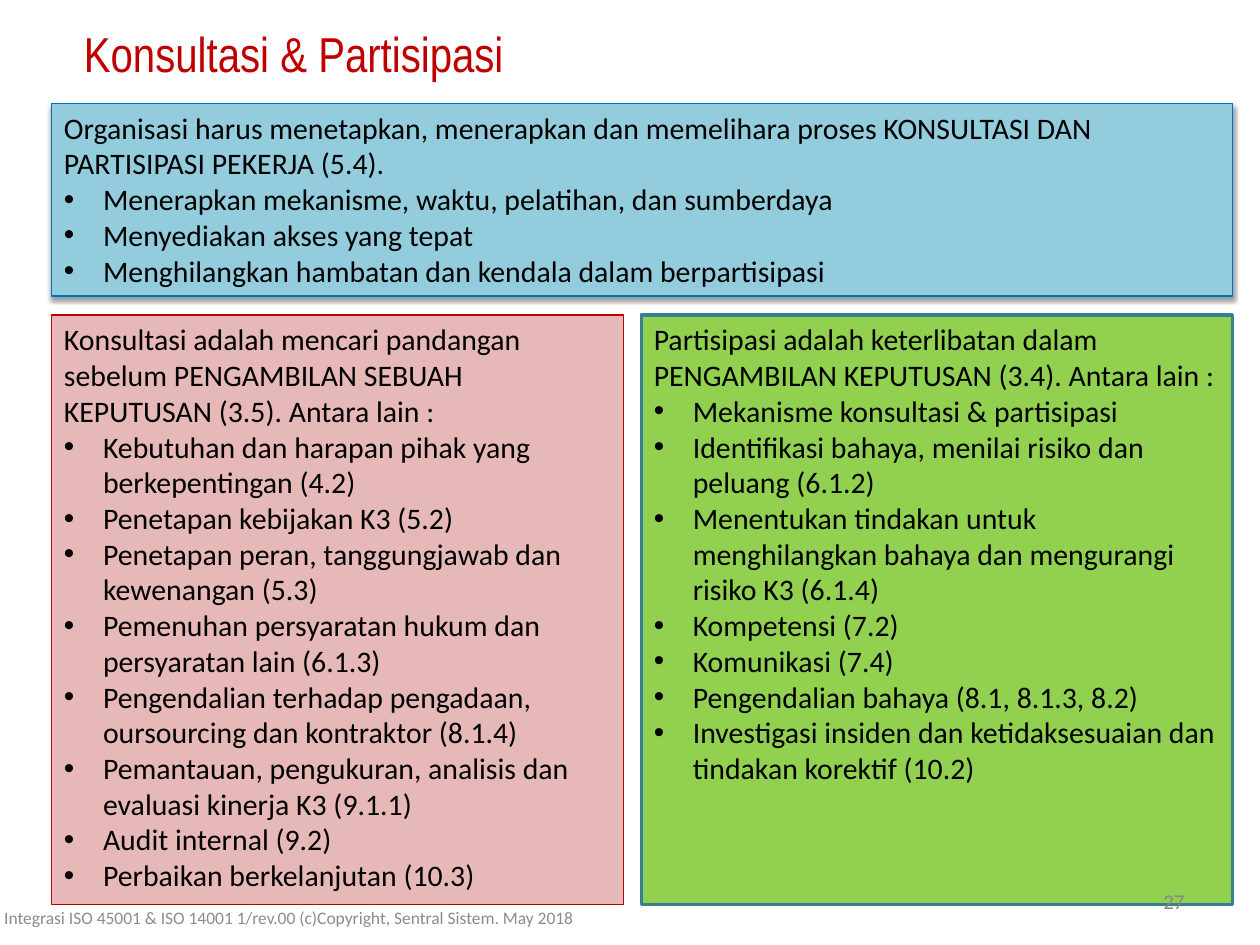
from lxml import etree
from pptx import Presentation
from pptx.dml.color import RGBColor
from pptx.enum import shapes, text
from pptx.oxml.ns import qn
from pptx.util import Inches, Pt

COLORS = {
    "red": "C00000", "black": "000000", "number": "898989", "footer": "8C8C8C",
    "pink": "E6B9B8", "green": "92D050", "teal": "377F92",
    "sky": "93CDDD", "blue": "0070C0",
}

# Grid of the three panels, in inches
LEFT, RIGHT, GAP = 0.41, 9.78, 0.14
LEFT_WIDTH = 4.54
RIGHT_START = LEFT + LEFT_WIDTH + GAP
TOP_ROW = (0.82, 1.53)
BOTTOM_ROW = (2.5, 4.68)
INDENT = Inches(0.31)

PROCESS = (
    "Organisasi harus menetapkan, menerapkan dan memelihara proses "
    "KONSULTASI DAN PARTISIPASI PEKERJA (5.4).",
    "Menerapkan mekanisme, waktu, pelatihan, dan sumberdaya",
    "Menyediakan akses yang tepat",
    "Menghilangkan hambatan dan kendala dalam berpartisipasi",
)
CONSULTATION = (
    "Konsultasi adalah mencari pandangan sebelum PENGAMBILAN SEBUAH "
    "KEPUTUSAN (3.5). Antara lain :",
    "Kebutuhan dan harapan pihak yang berkepentingan (4.2)",
    "Penetapan kebijakan K3 (5.2)",
    "Penetapan peran, tanggungjawab dan kewenangan (5.3)",
    "Pemenuhan persyaratan hukum dan persyaratan lain (6.1.3)",
    "Pengendalian terhadap pengadaan, oursourcing dan kontraktor (8.1.4)",
    "Pemantauan, pengukuran, analisis dan evaluasi kinerja K3 (9.1.1)",
    "Audit internal (9.2)",
    "Perbaikan berkelanjutan (10.3)",
)
PARTICIPATION = (
    "Partisipasi adalah keterlibatan dalam PENGAMBILAN KEPUTUSAN (3.4). "
    "Antara lain :",
    "Mekanisme konsultasi & partisipasi",
    "Identifikasi bahaya, menilai risiko dan peluang (6.1.2)",
    "Menentukan tindakan untuk menghilangkan bahaya dan mengurangi "
    "risiko K3 (6.1.4)",
    "Kompetensi (7.2)",
    "Komunikasi (7.4)",
    "Pengendalian bahaya (8.1, 8.1.3, 8.2)",
    "Investigasi insiden dan ketidaksesuaian dan tindakan korektif (10.2)",
)


def color(name):
    return RGBColor.from_string(COLORS[name])


def style(paragraph, size, color_name, align, font="Calibri"):
    paragraph.alignment = align
    paragraph.font.size = Pt(size)
    paragraph.font.name = font
    paragraph.font.color.rgb = color(color_name)


def add_bullet(paragraph):
    properties = paragraph._p.get_or_add_pPr()
    properties.set("marL", str(INDENT))
    properties.set("indent", str(-INDENT))
    etree.SubElement(properties, qn("a:buFont"), typeface="Arial")
    etree.SubElement(properties, qn("a:buChar"), char="•")


def add_shadow(shape):
    effects = shape._element.spPr.find(qn("a:effectLst"))
    shadow = etree.SubElement(
        effects, qn("a:outerShdw"), blurRad=str(Pt(3.1)), dist=str(Pt(1.6)),
        dir="5400000", rotWithShape="0")
    shade = etree.SubElement(shadow, qn("a:srgbClr"), val=COLORS["black"])
    etree.SubElement(shade, qn("a:alpha"), val="38000")


def add_panel(slide, left, right, row, fill, line, line_width, lines):
    """Filled box: an opening statement followed by bullets."""
    top, height = row
    shape = slide.shapes.add_shape(
        shapes.MSO_SHAPE.RECTANGLE, Inches(left), Inches(top),
        Inches(right - left), Inches(height))
    shape.shadow.inherit = False
    shape.fill.solid()
    shape.fill.fore_color.rgb = color(fill)
    shape.line.color.rgb = color(line)
    shape.line.width = Pt(line_width)
    frame = shape.text_frame
    frame.word_wrap = True
    frame.vertical_anchor = text.MSO_ANCHOR.TOP
    for index, line_text in enumerate(lines):
        paragraph = frame.add_paragraph() if index else frame.paragraphs[0]
        paragraph.text = line_text
        if index:
            add_bullet(paragraph)
        style(paragraph, 17, "black", text.PP_ALIGN.LEFT)
    return shape


def add_label(slide, left, top, width, content, size, color_name, align):
    box = slide.shapes.add_textbox(
        Inches(left), Inches(top), Inches(width), Inches(0.4))
    frame = box.text_frame
    frame.word_wrap = True
    frame.vertical_anchor = text.MSO_ANCHOR.MIDDLE
    frame.text = content
    style(frame.paragraphs[0], size, color_name, align)


def set_title(slide, content):
    title = slide.shapes.title
    title.left, title.top = Inches(0.31), Inches(0.14)
    title.width, title.height = Inches(4.04), Inches(0.57)
    frame = title.text_frame
    frame.text = content
    frame.word_wrap = False
    frame.auto_size = text.MSO_AUTO_SIZE.NONE
    frame.vertical_anchor = text.MSO_ANCHOR.TOP
    style(frame.paragraphs[0], 28, "red", text.PP_ALIGN.CENTER, "Arial Narrow")


def main():
    presentation = Presentation()
    presentation.slide_width = Inches(10)
    presentation.slide_height = Inches(7.5)
    slide = presentation.slides.add_slide(presentation.slide_layouts[5])

    set_title(slide, "Konsultasi & Partisipasi")

    # Two definitions side by side, under the shared process
    add_panel(slide, LEFT, LEFT + LEFT_WIDTH, BOTTOM_ROW,
              "pink", "red", 0.75, CONSULTATION)
    add_panel(slide, RIGHT_START, RIGHT, BOTTOM_ROW,
              "green", "teal", 2, PARTICIPATION)
    process = add_panel(slide, LEFT, RIGHT, TOP_ROW,
                        "sky", "blue", 0.75, PROCESS)
    add_shadow(process)

    # Page number and footer
    add_label(slide, 7.17, 6.95, 2.33, "27", 12, "number", text.PP_ALIGN.RIGHT)
    add_label(slide, -0.19, 7.08, 4.96,
              "Integrasi ISO 45001 & ISO 14001 1/rev.00 (c)Copyright, "
              "Sentral Sistem. May 2018", 10, "footer", text.PP_ALIGN.CENTER)

    presentation.save("out.pptx")


if __name__ == "__main__":
    main()
